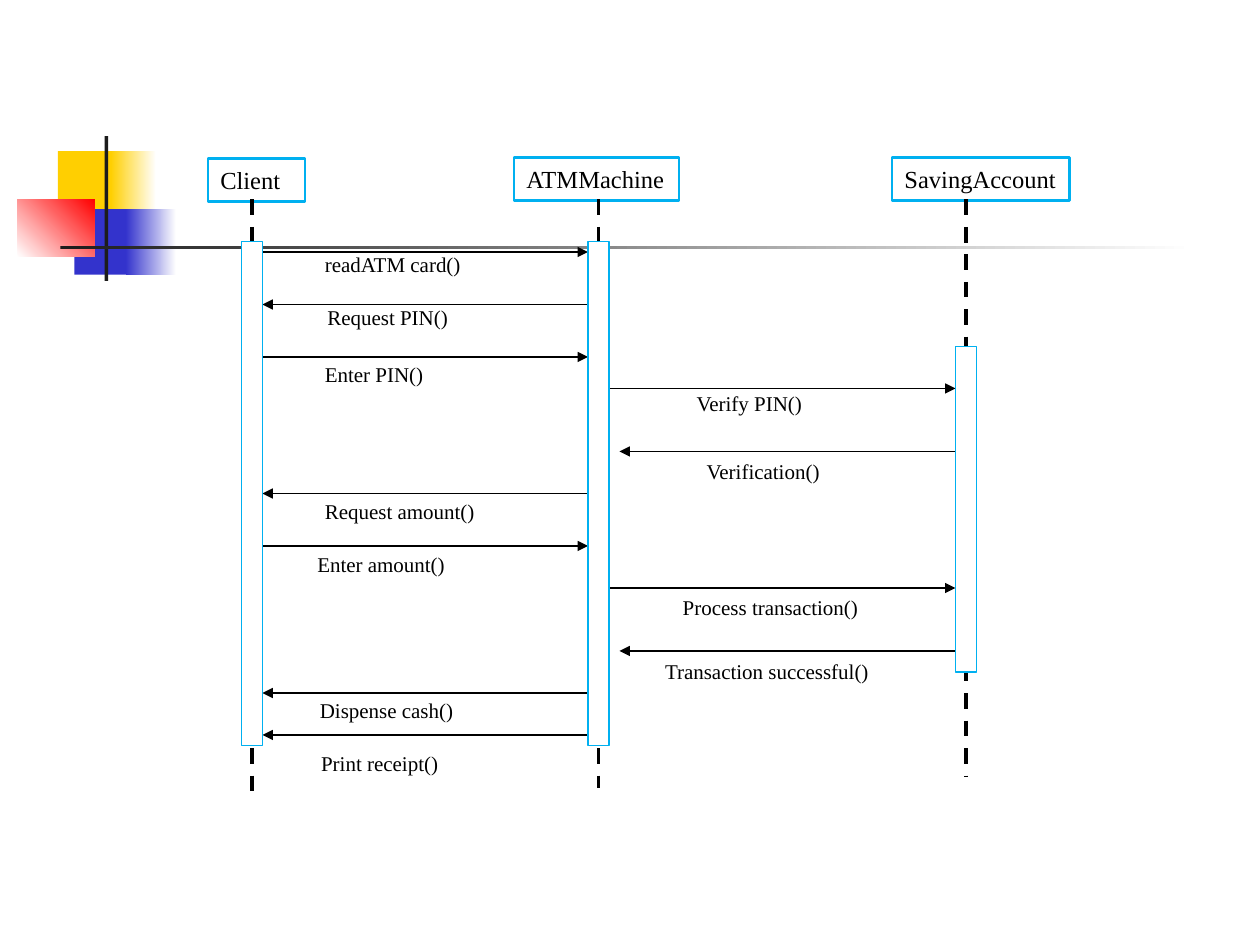
from collections import namedtuple

from lxml import etree
from pptx import Presentation
from pptx.dml.color import RGBColor
from pptx.enum.dml import MSO_LINE
from pptx.enum.shapes import MSO_CONNECTOR, MSO_SHAPE
from pptx.enum.text import MSO_ANCHOR, PP_ALIGN
from pptx.oxml.ns import qn
from pptx.util import Inches, Pt

RECTANGLE = MSO_SHAPE.RECTANGLE
STRAIGHT = MSO_CONNECTOR.STRAIGHT
DASH = MSO_LINE.DASH
MIDDLE = MSO_ANCHOR.MIDDLE
LEFT = PP_ALIGN.LEFT

CELL = Inches(1) // 12
FONT = "Times New Roman"
BLACK, WHITE, CYAN = "000000", "FFFFFF", "00B0F0"
YELLOW, BLUE, RED, CHARCOAL = "FFCF01", "3333CC", "FF0000", "1C1C1C"

Box = namedtuple("Box", "left top width height")
Lifeline = namedtuple("Lifeline", "name header center end bar_top bar_height")
Message = namedtuple("Message", "text source target row left top width")

DECORATION = [
    (Box(3.84, 1.44, 5.76, 6.24), (YELLOW,), 0),
    (Box(8.88, 1.44, 4.32, 6.24), (YELLOW, WHITE), 0),
    (Box(5.4, 6.96, 5.52, 6.24), (BLUE,), 0),
    (Box(10.32, 6.96, 4.8, 6.24), (BLUE, WHITE), 0),
    (Box(0, 6, 7.32, 5.52), (WHITE, RED), 45),
    (Box(8.28, 0, 0.36, 13.8), (CHARCOAL,), 0),
    (Box(4.08, 10.44, 108, 0.36), (CHARCOAL, WHITE), 0),
]

CLIENT, ATM, ACCOUNT = range(3)
LIFELINES = [
    Lifeline("Client", Box(-0.2, 0.12, 9.24, 4.08), 4, 61, 8, 48),
    Lifeline("ATMMachine", Box(28.96, 0, 15.72, 4.08), 37, 60, 8, 48),
    Lifeline("SavingAccount", Box(64.96, 0, 16.92, 4.08), 72, 59, 18, 31),
]
MESSAGES = [
    Message("readATM card()", CLIENT, ATM, 9, 9.76, 8.4, 15.48),
    Message("Request PIN()", ATM, CLIENT, 14, 10, 13.44, 14.04),
    Message("Enter PIN()", CLIENT, ATM, 19, 9.76, 18.84, 11.88),
    Message("Verify PIN()", ATM, ACCOUNT, 22, 45.16, 21.6, 12.6),
    Message("Verification()", ACCOUNT, ATM, 28, 46.12, 28.08, 13.32),
    Message("Request amount()", ATM, CLIENT, 32, 9.76, 31.92, 16.92),
    Message("Enter amount()", CLIENT, ATM, 37, 9.04, 36.96, 14.76),
    Message("Process transaction()", ATM, ACCOUNT, 41, 43.84, 41.04, 19.32),
    Message("Transaction successful()", ACCOUNT, ATM, 47, 42.16, 47.16, 22.08),
    Message("Dispense cash()", ATM, CLIENT, 51, 9.28, 50.88, 15.24),
    Message("Print receipt()", ATM, CLIENT, 55, 9.4, 55.92, 13.8),
]


def color(value):
    """Turn a hex string into a colour."""
    return RGBColor.from_string(value)


def cells(*counts):
    """Turn counts of grid cells into lengths."""
    return [round(count * CELL) for count in counts]


def inside(box, part):
    """Move a part from the coordinates of a box to those of the slide."""
    return part._replace(left=box.left + part.left, top=box.top + part.top)


def add_rectangle(slide, box, fills, angle=0, line=None, width=1):
    """Add a rectangle with a plain or two-colour fill."""
    shape = slide.shapes.add_shape(RECTANGLE, *cells(*box))
    shape.shadow.inherit = False
    if len(fills) == 1:
        shape.fill.solid()
        shape.fill.fore_color.rgb = color(fills[0])
    else:
        shape.fill.gradient()
        shape.fill.gradient_angle = angle
        for position, (stop, value) in enumerate(zip(shape.fill.gradient_stops, fills)):
            stop.position = position
            stop.color.rgb = color(value)
    if line:
        shape.line.color.rgb = color(line)
        shape.line.width = Pt(width)
    else:
        shape.line.fill.background()
    return shape


def write_text(shape, text, size=12, ink=BLACK):
    """Write one left-aligned line of text in a shape."""
    frame = shape.text_frame
    frame.word_wrap = True
    frame.margin_right = 0
    frame.vertical_anchor = MIDDLE
    paragraph = frame.paragraphs[0]
    paragraph.alignment = LEFT
    run = paragraph.add_run()
    run.text = text
    run.font.name = FONT
    run.font.size = Pt(size)
    run.font.color.rgb = color(ink)


def add_line(slide, start, end, width, dash=None, arrow=False):
    """Add a straight line, dashed or with an arrowhead if asked."""
    connector = slide.shapes.add_connector(STRAIGHT, *cells(*start, *end))
    connector.line.color.rgb = color(BLACK)
    connector.line.width = Pt(width)
    if dash:
        connector.line.dash_style = dash
    if arrow:
        etree.SubElement(connector.line._get_or_add_ln(), qn("a:tailEnd"), type="triangle")
    etree.SubElement(connector._element.spPr, qn("a:effectLst"))


def add_decoration(slide, box):
    """Place the coloured squares and the two rules."""
    for part, fills, angle in DECORATION:
        add_rectangle(slide, inside(box, part), fills, angle)


def add_message(slide, box, message):
    """Place one message arrow and its label."""
    start, end = LIFELINES[message.source].center, LIFELINES[message.target].center
    gap = 2 if message.source == ACCOUNT else 1
    end += gap if end < start else -gap
    y = box.top + message.row
    add_line(slide, (box.left + start, y), (box.left + end, y), 0.75, arrow=True)
    label = inside(box, Box(message.left, message.top, message.width, 3.6))
    write_text(slide.shapes.add_textbox(*cells(*label)), message.text)


def add_sequence_diagram(slide, box):
    """Place the participants, their lifelines, the messages and the bars."""
    for lifeline in LIFELINES:
        header = add_rectangle(slide, inside(box, lifeline.header), (WHITE,), line=CYAN, width=1.5)
        write_text(header, lifeline.name, size=14)
    for lifeline in LIFELINES:
        x = box.left + lifeline.center
        add_line(slide, (x, box.top + 4), (x, box.top + lifeline.end), 2.25, dash=DASH)
    for message in MESSAGES:
        add_message(slide, box, message)
    for lifeline in LIFELINES:
        bar = Box(lifeline.center - 1, lifeline.bar_top, 2, lifeline.bar_height)
        add_rectangle(slide, inside(box, bar), (WHITE,), line=CYAN)


def main():
    """Build the slide and save it."""
    presentation = Presentation()
    presentation.slide_width, presentation.slide_height = cells(120, 90)
    slide = presentation.slides.add_slide(presentation.slide_layouts[6])
    add_decoration(slide, Box(1.68, 12.96, 112.08, 13.8))
    add_sequence_diagram(slide, Box(20, 15, 82, 61))
    presentation.save("out.pptx")


if __name__ == "__main__":
    main()
